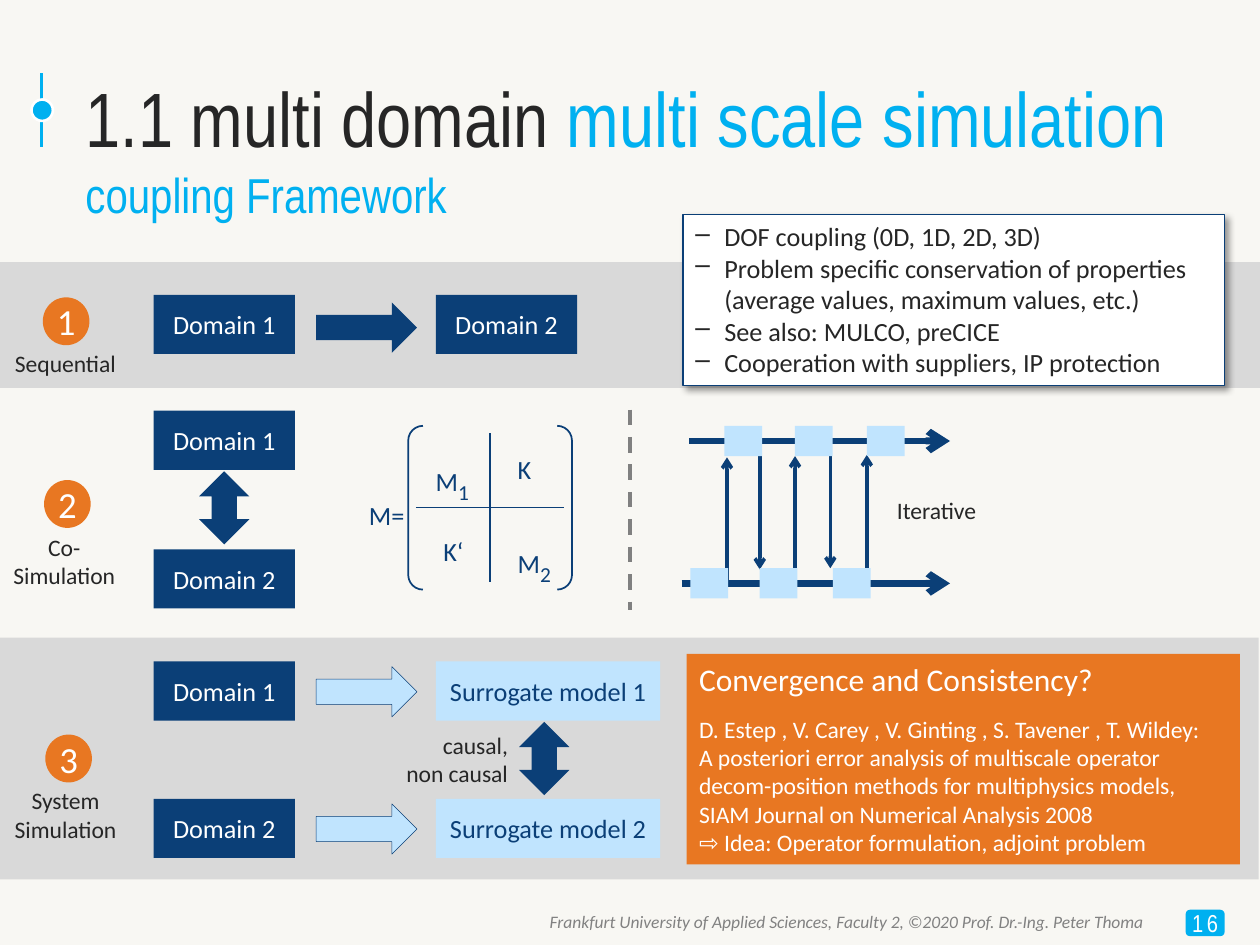
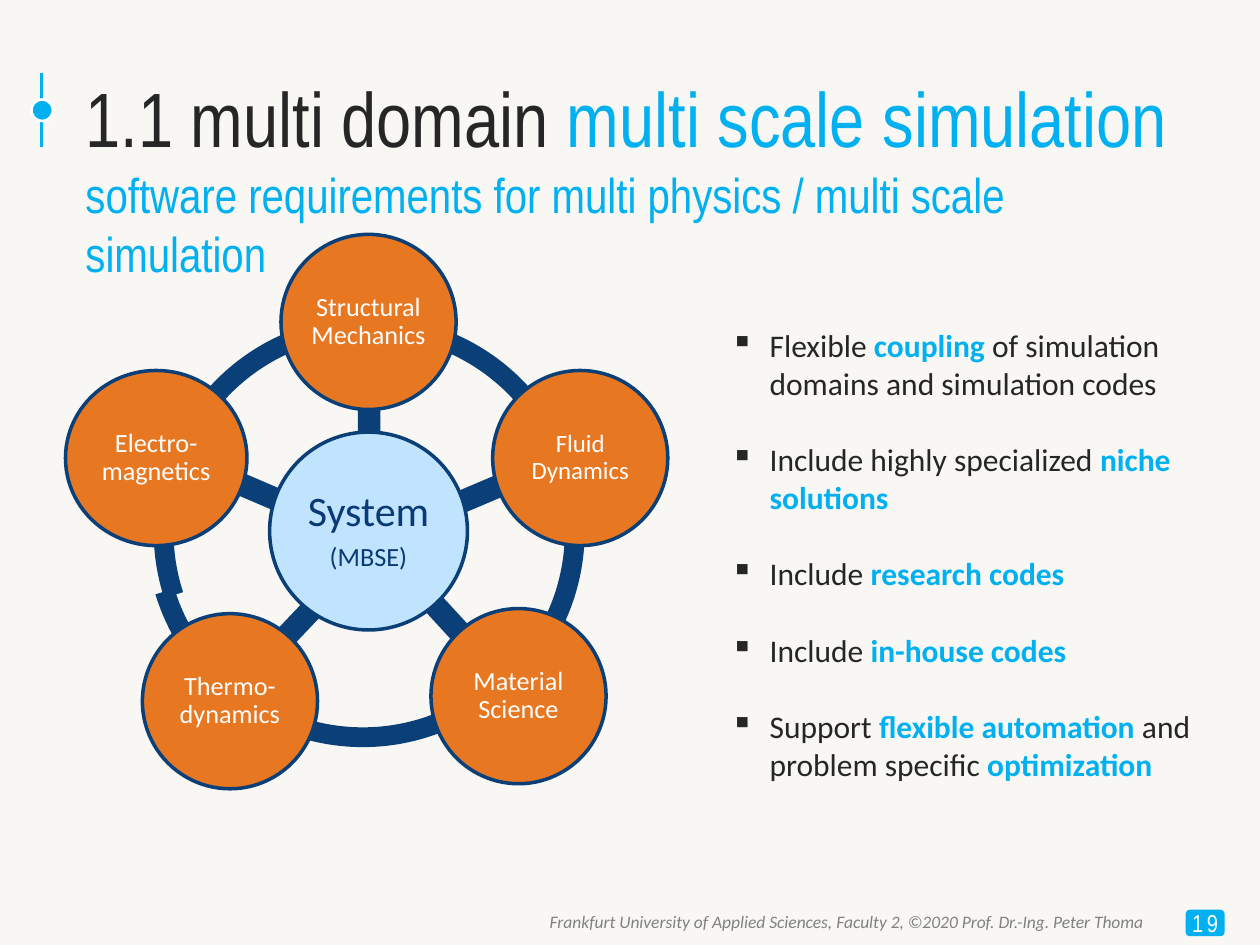
from lxml import etree
from pptx import Presentation
from pptx import util as u
from pptx.dml.color import RGBColor
from pptx.enum import dml, shapes, text
from pptx.oxml import parse_xml
from pptx.oxml.ns import nsdecls, qn

NAVY, SKY, PALE, ORANGE = "0B3F77", "00B0F0", "C0E4FE", "E87722"
INK, WHITE, BAND, PAPER, GREY, DASH = "262626", "FFFFFF", "D9D9D9", "F8F7F3", "818181", "808080"
BODY, NARROW = "Calibri", "Arial Narrow"
SHAPE = shapes.MSO_SHAPE
LEFT, CENTER, RIGHT = text.PP_ALIGN.LEFT, text.PP_ALIGN.CENTER, text.PP_ALIGN.RIGHT
MIDDLE, TOP = text.MSO_ANCHOR.MIDDLE, text.MSO_ANCHOR.TOP


def color(value):
    return RGBColor.from_string(value)


class Deck:
    """Holds the shared style and the slide being built."""

    def __init__(self):
        self.presentation = Presentation()
        self.presentation.slide_width = u.Inches(10)
        self.presentation.slide_height = u.Inches(7.5)
        self.slide = None

    def new_slide(self, subtitle, number):
        self.slide = self.presentation.slides.add_slide(self.presentation.slide_layouts[6])
        fill = self.slide.background.fill
        fill.solid()
        fill.fore_color.rgb = color(PAPER)
        # Title marker
        self.line(0.33, 0.58, 0.33, 1.17, SKY, 1.5)
        self.shape(SHAPE.OVAL, 0.25, 0.79, 0.17, 0.17, SKY, WHITE, 1.5)
        # Title and subtitle
        self.textbox(0.58, 0.3, 9.3, 1.25,
                     [["1.1 multi domain ", ("multi scale simulation", {"color": SKY})]],
                     size=44, font=NARROW, anchor=MIDDLE)
        self.textbox(0.58, 1.26, 8.92, 4.41, [subtitle], size=28, hue=SKY, font=NARROW)
        # Footer and page number
        footer = "Frankfurt University of Applied Sciences, Faculty 2, ©2020 Prof. Dr.-Ing. Peter Thoma"
        self.textbox(1.22, 7.18, 7.95, 0.27, [[(footer, {"italic": True})]],
                     size=10, hue=GREY, align=RIGHT)
        badge = self.shape(SHAPE.ROUNDED_RECTANGLE, 9.41, 7.22, 0.31, 0.21, SKY)
        self.set_text(badge, [[(number, {"spacing": 200})]], size=14, hue=WHITE, font=NARROW,
                      align=CENTER, anchor=MIDDLE, inset=0, wrap=False)

    def shape(self, kind, left, top, width, height, fill=None, line=None, weight=1.0):
        shape = self.slide.shapes.add_shape(
            kind, u.Inches(left), u.Inches(top), u.Inches(width), u.Inches(height))
        shape.shadow.inherit = False
        if fill:
            shape.fill.solid()
            shape.fill.fore_color.rgb = color(fill)
        else:
            shape.fill.background()
        if line:
            shape.line.color.rgb = color(line)
            shape.line.width = u.Pt(weight)
        else:
            shape.line.fill.background()
        return shape

    def line(self, x1, y1, x2, y2, hue=NAVY, weight=0.75, arrow=False, dashed=False):
        connector = self.slide.shapes.add_connector(
            shapes.MSO_CONNECTOR.STRAIGHT, u.Inches(x1), u.Inches(y1), u.Inches(x2), u.Inches(y2))
        connector.line.color.rgb = color(hue)
        connector.line.width = u.Pt(weight)
        if dashed:
            connector.line.dash_style = dml.MSO_LINE.DASH
        properties = connector._element.spPr
        if arrow:
            etree.SubElement(properties.find(qn("a:ln")), qn("a:tailEnd"), type="arrow")
        etree.SubElement(properties, qn("a:effectLst"))

    def textbox(self, left, top, width, height, paragraphs, **style):
        box = self.slide.shapes.add_textbox(
            u.Inches(left), u.Inches(top), u.Inches(width), u.Inches(height))
        self.set_text(box, paragraphs, **style)

    def set_text(self, shape, paragraphs, size=15, hue=INK, font=BODY, align=LEFT, anchor=TOP,
                 inset=0.1, wrap=True, bullet=None, indent=0, gaps=(), spacing=None):
        """A paragraph is a string or a list of strings and (string, format) pairs."""
        frame = shape.text_frame
        frame.word_wrap = wrap
        frame.vertical_anchor = anchor
        frame.margin_left = frame.margin_right = u.Inches(inset)
        frame.margin_top = frame.margin_bottom = u.Inches(min(inset, 0.05))
        for index, parts in enumerate(paragraphs):
            paragraph = frame.add_paragraph() if index else frame.paragraphs[0]
            paragraph.alignment = align
            if index and gaps:
                paragraph.space_before = u.Pt(gaps[index - 1])
            if spacing:
                paragraph.line_spacing = spacing
            if bullet:
                properties = paragraph._p.get_or_add_pPr()
                properties.set("marL", str(u.Inches(indent)))
                properties.set("indent", str(-u.Inches(indent)))
                etree.SubElement(properties, qn("a:buChar"), char=bullet)
            for part in [parts] if isinstance(parts, str) else parts:
                content, look = (part, {}) if isinstance(part, str) else part
                for row, words in enumerate(content.split("\n")):
                    if row:
                        paragraph.add_line_break()
                    self.add_run(paragraph, words, size, hue, font, look)

    def add_run(self, paragraph, words, size, hue, font, look):
        run = paragraph.add_run()
        run.text = words
        run.font.name = font
        run.font.size = u.Pt(look.get("size", size))
        run.font.color.rgb = color(look.get("color", hue))
        run.font.bold = look.get("bold", False)
        run.font.italic = look.get("italic", False)
        for key, attribute in (("spacing", "spc"), ("baseline", "baseline")):
            if key in look:
                run._r.get_or_add_rPr().set(attribute, str(look[key]))

    def box(self, left, top, label, width=1.12, fill=NAVY, hue=WHITE):
        shape = self.shape(SHAPE.RECTANGLE, left, top, width, 0.47, fill)
        self.set_text(shape, [label], hue=hue, align=CENTER, anchor=MIDDLE)

    def badge(self, left, top, number):
        shape = self.shape(SHAPE.OVAL, left, top, 0.37, 0.38, ORANGE)
        self.set_text(shape, [number], size=21, hue=WHITE, align=CENTER, anchor=MIDDLE,
                      inset=0, wrap=False)

    def label(self, left, top, width, height, lines, align=LEFT, **style):
        self.textbox(left, top, width, height, lines, align=align, wrap=False, **style)

    def circle(self, left, top, width, height, paragraphs, fill=ORANGE, hue=WHITE, **style):
        shape = self.shape(SHAPE.OVAL, left, top, width, height, fill, NAVY, 2)
        self.set_text(shape, paragraphs, hue=hue, align=CENTER, anchor=MIDDLE,
                      inset=0.02, spacing=0.9, **style)


def coupling_slide(deck):
    deck.new_slide("coupling Framework", "16")
    # Bands
    deck.shape(SHAPE.RECTANGLE, 0, 5.06, 9.99, 1.92, BAND)
    deck.shape(SHAPE.RECTANGLE, 0, 2.08, 10, 1, BAND)

    # Numbered coupling types
    deck.badge(0.34, 2.36, "1")
    deck.badge(0.35, 3.81, "2")
    deck.badge(0.36, 5.83, "3")
    deck.label(0.02, 2.72, 1.02, 0.33, ["Sequential"], size=13.5)
    deck.label(0, 4.18, 1.02, 0.56, ["Co-", "Simulation"], CENTER, size=13.5)
    deck.label(0.01, 6.19, 1.02, 0.56, ["System", "Simulation"], CENTER, size=13.5)

    # Domains
    deck.box(1.22, 2.34, "Domain 1")
    deck.box(3.46, 2.34, "Domain 2")
    deck.shape(SHAPE.RIGHT_ARROW, 2.51, 2.4, 0.8, 0.4, NAVY)
    for first, second in ((3.26, 4.36), (5.25, 6.34)):
        deck.box(1.22, first, "Domain 1")
        deck.box(1.22, second, "Domain 2")
    for number, top in enumerate((5.25, 6.34), 1):
        deck.shape(SHAPE.RIGHT_ARROW, 2.51, top + 0.04, 0.8, 0.4, PALE, NAVY, 0.25)
        deck.box(3.46, top, f"Surrogate model {number}", 1.78, PALE, NAVY)
    for left, top in ((1.58, 3.74), (4.12, 5.73)):
        deck.shape(SHAPE.UP_DOWN_ARROW, left, top, 0.4, 0.58, NAVY)
    deck.label(3.11, 5.75, 1.02, 0.56, ["causal,", "non causal"], RIGHT, size=13.5)

    # Coupling matrix
    bracket = deck.shape(SHAPE.DOUBLE_BRACKET, 3.24, 3.38, 1.3, 1.3, None, NAVY, 1)
    bracket.adjustments[0] = 0.09
    deck.line(3.89, 3.44, 3.89, 4.62)
    deck.line(3.3, 4.03, 4.48, 4.03)
    subscript = {"size": 21, "baseline": -25000}
    for left, top, width, entry in (
            (3.36, 3.56, 0.48, ["M", ("1", subscript)]),
            (4.01, 4.21, 0.48, ["M", ("2", subscript)]),
            (4.01, 3.55, 0.31, "K"),
            (3.42, 4.2, 0.36, "K‘"),
            (2.83, 3.91, 0.49, "M=")):
        deck.label(left, top, width, 0.35, [entry], hue=NAVY)
    deck.line(5, 3.25, 5, 4.84, DASH, 2.25, dashed=True)

    # Iterative exchange between two time lines
    deck.line(5.41, 4.63, 7.54, 4.63, weight=4, arrow=True)
    deck.line(5.47, 3.5, 7.54, 3.5, weight=4, arrow=True)
    for x, start, end in ((5.77, 4.63, 3.63), (6.03, 3.51, 4.52), (6.31, 4.62, 3.62),
                          (6.59, 3.5, 4.51), (6.88, 4.6, 3.61)):
        deck.line(x, start, x, end, weight=2, arrow=True)
    for top, lefts in ((3.38, (5.75, 6.31, 6.88)), (4.51, (5.48, 6.03, 6.61))):
        for left in lefts:
            deck.shape(SHAPE.RECTANGLE, left, top, 0.3, 0.24, PALE)
    deck.label(7.02, 3.89, 0.84, 0.33, ["Iterative"], size=13.5)

    # Notes on coupling
    note = deck.shape(SHAPE.RECTANGLE, 5.42, 1.7, 4.3, 1.36, WHITE, NAVY, 0.75)
    effects = note._element.spPr.find(qn("a:effectLst"))
    effects.append(parse_xml(
        f'<a:outerShdw {nsdecls("a")} blurRad="{u.Pt(4)}" dist="{u.Pt(3)}" dir="2700000" '
        'algn="tl" rotWithShape="0"><a:srgbClr val="000000"><a:alpha val="40000"/>'
        '</a:srgbClr></a:outerShdw>'))
    deck.set_text(note, [
        "DOF coupling (0D, 1D, 2D, 3D)",
        "Problem specific conservation of properties\n(average values, maximum values, etc.)",
        "See also: MULCO, preCICE",
        "Cooperation with suppliers, IP protection"], bullet="–", indent=0.23)

    # Open question
    question = deck.shape(SHAPE.RECTANGLE, 5.45, 5.19, 4.39, 1.67, ORANGE)
    deck.set_text(question, [
        [("Convergence and Consistency?", {"size": 18})],
        "D. Estep , V. Carey , V. Ginting , S. Tavener , T. Wildey:",
        "A posteriori error analysis of multiscale operator decom-position methods for "
        "multiphysics models, SIAM Journal on Numerical Analysis 2008\n"
        "⇨ Idea: Operator formulation, adjoint problem"],
        size=13.5, hue=WHITE, gaps=(9.6, 0))


def requirements_slide(deck):
    deck.new_slide("software requirements for multi physics / multi scale simulation", "19")

    # Requirements
    strong = {"color": SKY, "bold": True}
    deck.textbox(5.7, 2.54, 4.25, 3.74, [
        ["Flexible ", ("coupling", strong), " of simulation domains and simulation codes"],
        ["Include highly specialized ", ("niche solutions", strong)],
        ["Include ", ("research codes", strong)],
        ["Include ", ("in-house codes", strong)],
        ["Support ", ("flexible automation ", strong), "and problem specific ",
         ("optimization", strong)]],
        size=18, bullet="▪", indent=0.31, gaps=(22,) * 4)

    # Spokes
    for left, top, height, angle in ((3.71, 3.37, 1.11, 67), (1.99, 3.36, 1.11, 293.2),
                                     (2.22, 4.43, 1.16, 223.5), (3.34, 4.2, 1.16, 137.4),
                                     (2.84, 3.12, 1.11, 0)):
        spoke = deck.shape(SHAPE.RECTANGLE, left, top, 0.18, height, NAVY)
        spoke.rotation = angle

    # Ring; angles are stored in units of 60000 per degree
    for left, start, end in ((1.16, 108, 163.1), (1.17, 52.9, 108), (1.22, 0, 54), (1.22, 162, 0)):
        arc = deck.shape(SHAPE.BLOCK_ARC, left, 2.51, 3.42, 3.42, NAVY)
        for index, value in enumerate((start * 0.6, end * 0.6, 0.046)):
            arc.adjustments[index] = value

    # Hub and disciplines
    deck.circle(2.14, 3.43, 1.57, 1.57, [[("System", {"size": 24})], "(MBSE)"],
                PALE, "093A75", gaps=(4.5,))
    for left, top, width, name, size in ((2.23, 1.86, 1.39, "Structural Mechanics", 15),
                                         (3.91, 2.94, 1.39, "Fluid Dynamics", 14.2),
                                         (1.13, 4.87, 1.39, "Thermo- dynamics", 15),
                                         (0.52, 2.94, 1.44, "Electro-magnetics", 15),
                                         (3.42, 4.83, 1.39, "Material Science", 15)):
        deck.circle(left, top, width, 1.39, [name], size=size)


def main():
    deck = Deck()
    coupling_slide(deck)
    requirements_slide(deck)
    deck.presentation.save("out.pptx")


if __name__ == "__main__":
    main()
